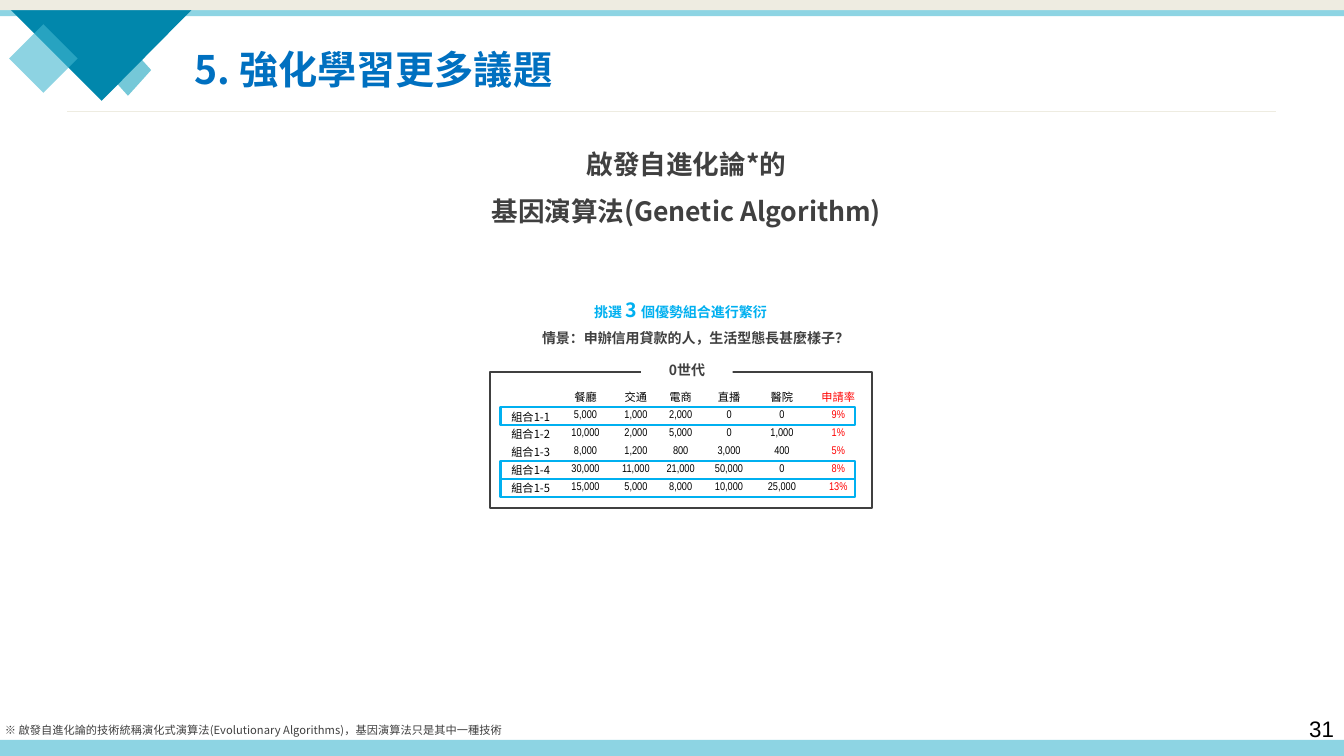
from dataclasses import dataclass
from typing import NamedTuple, Optional

from lxml.etree import SubElement
from pptx import Presentation
from pptx.dml.color import RGBColor
from pptx.enum.shapes import MSO_CONNECTOR, MSO_SHAPE
from pptx.enum.text import MSO_ANCHOR, PP_ALIGN
from pptx.oxml.ns import qn
from pptx.util import Pt


@dataclass(frozen=True)
class Theme:
    white: str = "FFFFFF"
    black: str = "000000"
    ink: str = "404040"
    title: str = "0070C0"
    accent: str = "00B0F0"
    red: str = "FF0000"
    cream: str = "EEECE1"
    band: str = "8DD4E3"
    teal: str = "0187AC"
    cjk: str = "Noto Sans CJK SC"
    digits: str = "Arial Narrow"
    number: str = "Arial"
    h1: float = 28
    h2: float = 19
    page: float = 16
    big: float = 14
    body: float = 10
    small: float = 8


T = Theme()


class Box(NamedTuple):
    x: float
    y: float
    w: float
    h: float


class Run(NamedTuple):
    text: str
    size: float
    color: str = T.ink
    bold: bool = False
    font: str = T.cjk


class Shape(NamedTuple):
    box: Box
    fill: Optional[str] = None
    line: Optional[str] = None
    width: float = 1
    kind: MSO_SHAPE = MSO_SHAPE.RECTANGLE
    alpha: int = 100


class Text(NamedTuple):
    box: Box
    lines: list[list[Run]]
    align: PP_ALIGN = PP_ALIGN.CENTER
    spacing: float = 1.5
    anchor: MSO_ANCHOR = MSO_ANCHOR.MIDDLE
    fill: Optional[str] = None


def paint(sp, item: Shape) -> None:
    sp.shadow.inherit = False
    if item.fill:
        sp.fill.solid()
        sp.fill.fore_color.rgb = RGBColor.from_string(item.fill)
        if item.alpha < 100:
            clr = sp.fill._xPr.find(".//" + qn("a:srgbClr"))
            SubElement(clr, qn("a:alpha"), val=str(item.alpha * 1000))
    else:
        sp.fill.background()
    if item.line:
        sp.line.color.rgb = RGBColor.from_string(item.line)
        sp.line.width = Pt(item.width)
    else:
        sp.line.fill.background()


def add_shape(s, item: Shape) -> None:
    paint(s.shapes.add_shape(item.kind, *map(Pt, item.box)), item)


def add_run(p, run: Run) -> None:
    r = p.add_run()
    r.text = run.text
    style = {"size": Pt(run.size), "bold": run.bold, "name": run.font}
    for key, value in style.items():
        setattr(r.font, key, value)
    r.font.color.rgb = RGBColor.from_string(run.color)
    SubElement(r.font._element, qn("a:ea"), typeface=run.font)


def add_text(s, item: Text) -> None:
    sp = s.shapes.add_textbox(*map(Pt, item.box))
    if item.fill:
        sp.fill.solid()
        sp.fill.fore_color.rgb = RGBColor.from_string(item.fill)
    tf = sp.text_frame
    for key, value in {"word_wrap": True, "vertical_anchor": item.anchor}.items():
        setattr(tf, key, value)
    for i, line in enumerate(item.lines):
        p = tf.add_paragraph() if i else tf.paragraphs[0]
        p.alignment = item.align
        p.line_spacing = item.spacing
        for run in line:
            add_run(p, run)


def add_triangle(s) -> None:
    points = [(12.2, 0), (132.5, 0), (138.2, 5.8), (72.7, 72), (6.5, 5.8)]
    (x, y), *rest = [(Pt(a), Pt(b)) for a, b in points]
    fb = s.shapes.build_freeform(x, y)
    fb.add_line_segments(rest, close=True)
    paint(fb.convert_to_shape(), Shape(Box(0, 0, 0, 0), T.teal))


def add_rule(s, x1: float, x2: float, y: float) -> None:
    cx = s.shapes.add_connector(MSO_CONNECTOR.STRAIGHT, Pt(x1), Pt(y), Pt(x2), Pt(y))
    cx.line.color.rgb = RGBColor.from_string(T.cream)
    cx.line.width = Pt(0.5)
    SubElement(cx._element.spPr, qn("a:effectLst"))


TABLE_X, TABLE_Y, HEAD_H, ROW_H = 358, 275.8, 15, 12.8
WIDTHS = [43, 34.6, 37.4, 26.6, 42.5, 33.1, 47.5]
ROWS = [
    ["", "餐廳", "交通", "電商", "直播", "醫院", "申請率"],
    ["組合1-1", "5,000", "1,000", "2,000", "0", "0", "9%"],
    ["組合1-2", "10,000", "2,000", "5,000", "0", "1,000", "1%"],
    ["組合1-3", "8,000", "1,200", "800", "3,000", "400", "5%"],
    ["組合1-4", "30,000", "11,000", "21,000", "50,000", "0", "8%"],
    ["組合1-5", "15,000", "5,000", "8,000", "10,000", "25,000", "13%"],
]
WINNERS = [1, 4, 5]


def add_generation(s) -> None:
    box = Box(TABLE_X, TABLE_Y, sum(WIDTHS), HEAD_H + ROW_H * (len(ROWS) - 1))
    table = s.shapes.add_table(len(ROWS), len(WIDTHS), *map(Pt, box)).table
    table.first_row = table.horz_banding = False
    style = table._tbl.tblPr.find(qn("a:tableStyleId"))
    style.text = "{2D5ABB26-0587-4C30-8999-92F81FD0307C}"
    for col, width in zip(table.columns, WIDTHS):
        col.width = Pt(width)
    for i, row in enumerate(ROWS):
        table.rows[i].height = Pt(ROW_H if i else HEAD_H)
        for j, text in enumerate(row):
            cell = table.cell(i, j)
            cell.fill.background()
            layout = {"margin_left": Pt(0 if j else 7.2), "margin_right": 0, "margin_top": 0,
                      "margin_bottom": 0, "vertical_anchor": MSO_ANCHOR.MIDDLE}
            for key, value in layout.items():
                setattr(cell, key, value)
            p = cell.text_frame.paragraphs[0]
            p.alignment = PP_ALIGN.CENTER if j else PP_ALIGN.LEFT
            if text:
                color = T.red if j == len(row) - 1 else T.black
                add_run(p, Run(text, T.small, color, font=T.digits if i and j else T.cjk))
            else:
                SubElement(p._p, qn("a:endParaRPr"), sz=str(int(T.small * 100)))


def main() -> None:
    prs = Presentation()
    prs.slide_width, prs.slide_height = Pt(960), Pt(540)
    s = prs.slides.add_slide(prs.slide_layouts[6])
    diamond = MSO_SHAPE.DIAMOND
    add_shape(s, Shape(Box(74.9, 31.7, 33.1, 36.7), "1AA4BE", kind=diamond, alpha=60))
    add_shape(s, Shape(Box(0, 0, 960, 11.5), T.band))
    add_triangle(s)
    add_shape(s, Shape(Box(6.5, 17.3, 49, 49), "41B7D0", kind=diamond, alpha=60))
    add_shape(s, Shape(Box(0, 528.5, 960, 11.5), T.band))
    add_shape(s, Shape(Box(0, 0, 960, 7.2), T.cream))
    add_rule(s, 48.2, 911.5, 79.2)
    add_shape(s, Shape(Box(349.9, 265.7, 272.9, 97.2), line=T.ink))
    left, top = PP_ALIGN.LEFT, MSO_ANCHOR.TOP
    texts = [
        Text(Box(928, 507.6, 32, 26.6), [[Run("31", T.page, T.black, font=T.number)]], left, 1, top),
        Text(Box(131.8, 15.1, 729.4, 51.8), [[Run("5. 強化學習更多議題", T.h1, T.title, True)]], left),
        Text(Box(288, 92.2, 404.6, 72), [[Run("啟發自進化論*的", T.h2, bold=True)],
             [Run("基因演算法(Genetic Algorithm)", T.h2, bold=True)]], fill=T.white),
        Text(Box(-3.6, 509, 506.2, 20.2), [[Run(
             "※ 啟發自進化論的技術統稱演化式演算法(Evolutionary Algorithms)，基因演算法只是其中一種技術",
             T.small)]], left),
        Text(Box(375.8, 226.8, 241.9, 23),
             [[Run("情景：申辦信用貸款的人，生活型態長甚麼樣子？", T.body, bold=True)]], fill=T.white),
        Text(Box(457.9, 249.8, 65.5, 23), [[Run("0世代", T.body, bold=True)]], fill=T.white),
        Text(Box(413.3, 202.3, 145.4, 29.5), [[Run("挑選 ", T.body, T.accent, True),
             Run("3 ", T.big, T.accent, True), Run("個優勢組合進行繁衍", T.body, T.accent, True)]]),
    ]
    for text in texts:
        add_text(s, text)
    add_generation(s)
    for row in WINNERS:
        y = TABLE_Y + HEAD_H + ROW_H * (row - 1)
        add_shape(s, Shape(Box(357.5, y, 253.4, ROW_H), line=T.accent, width=1.5))
    prs.save("out.pptx")


if __name__ == "__main__":
    main()
